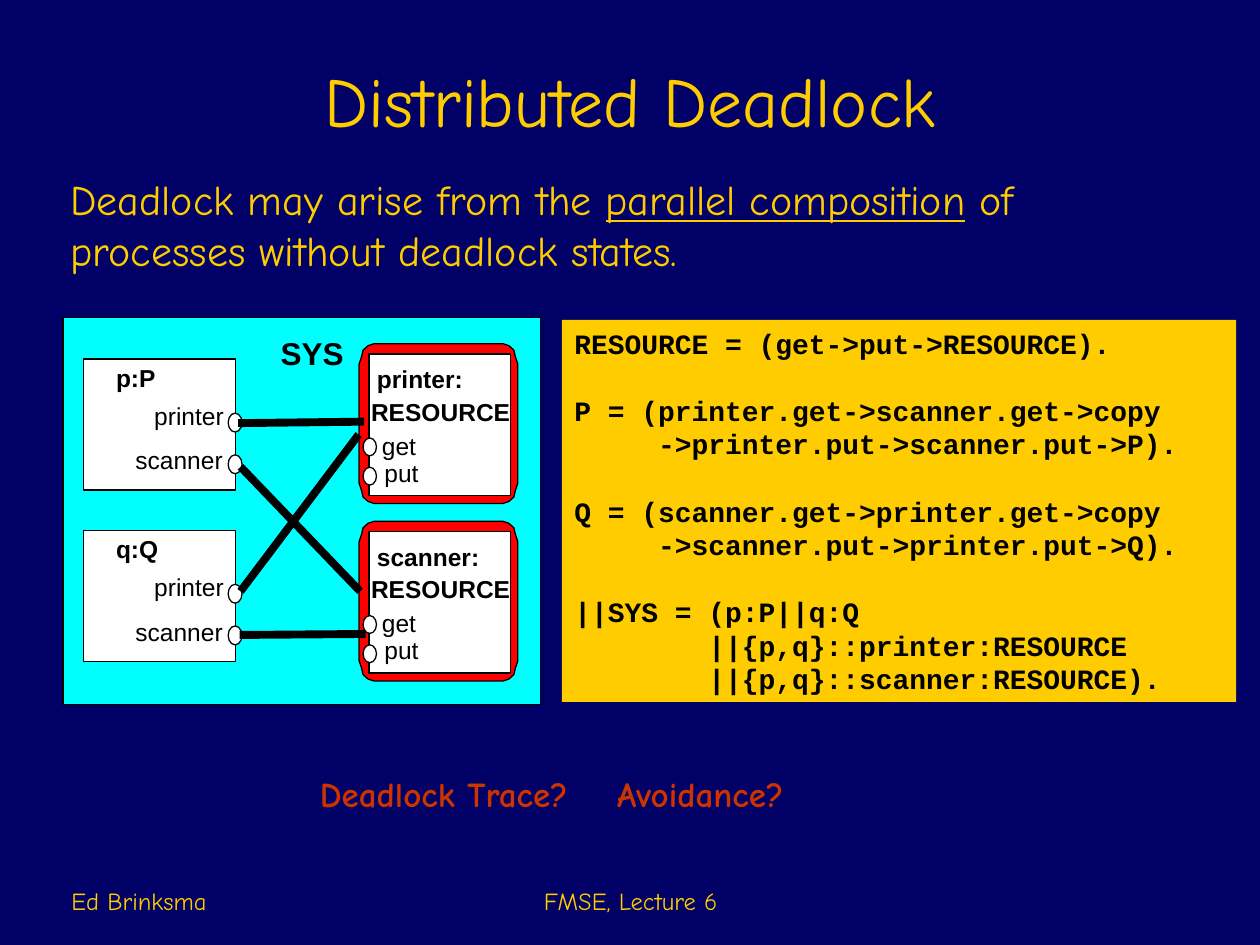
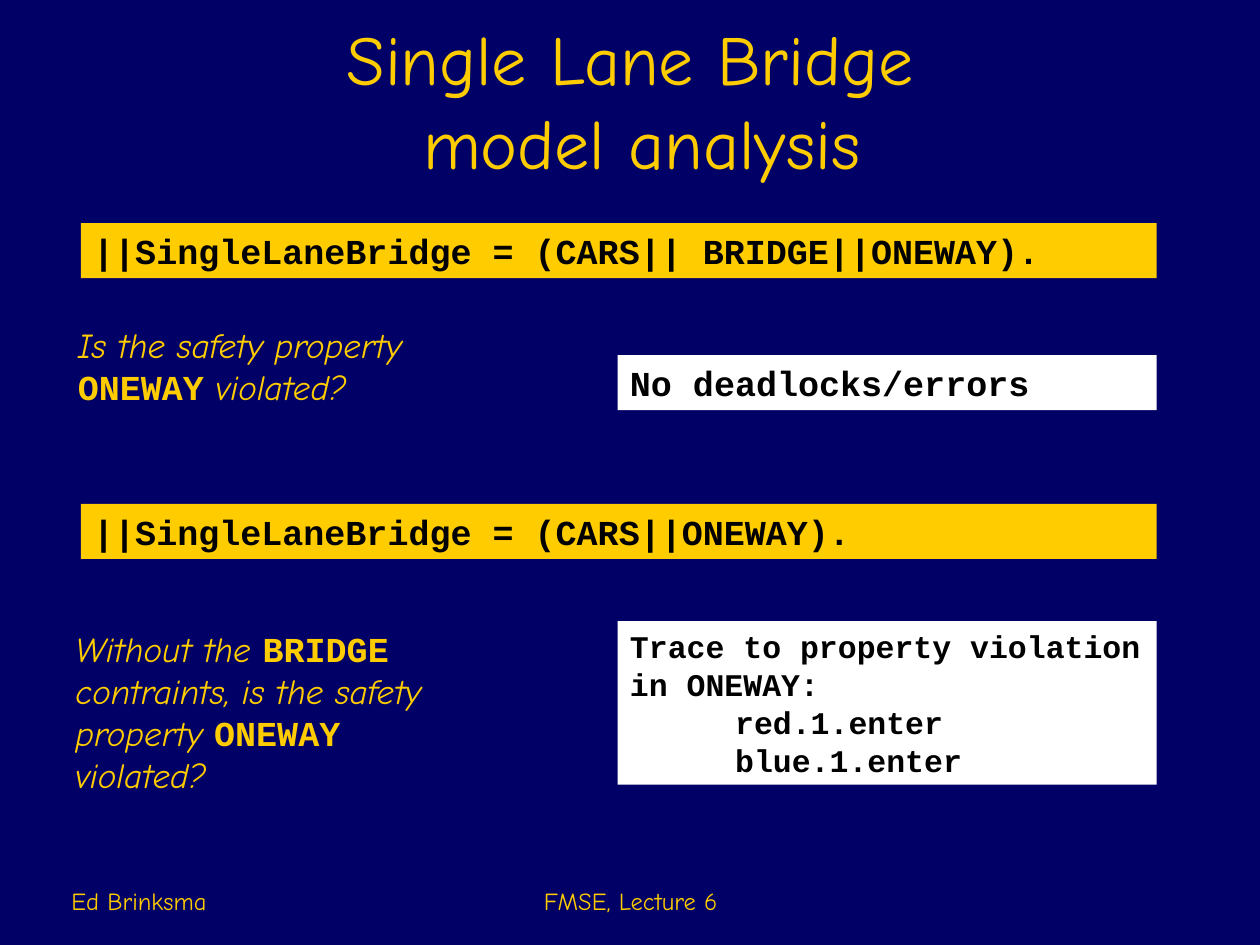
from lxml import etree
from pptx import Presentation
from pptx.dml.color import RGBColor
from pptx.enum.shapes import MSO_CONNECTOR, MSO_SHAPE
from pptx.enum.text import MSO_ANCHOR, MSO_AUTO_SIZE, PP_ALIGN
from pptx.oxml.ns import qn
from pptx.util import Cm, Pt

RECT, OVAL = MSO_SHAPE.RECTANGLE, MSO_SHAPE.OVAL
LINE = MSO_CONNECTOR.STRAIGHT
LEFT, MID = PP_ALIGN.LEFT, PP_ALIGN.CENTER
TOP, LOW = MSO_ANCHOR.TOP, MSO_ANCHOR.BOTTOM
NAVY, GOLD, RUST = "000066", "FFCC00", "CC3300"
BLACK, WHITE, CYAN, RED = "000000", "FFFFFF", "00FFFF", "FF0000"

# Font, bold, italic, underline
FACES = {
    "plain": ("Comic Neue", False, False, False),
    "bold": ("Comic Neue", True, False, False),
    "slant": ("Comic Neue", False, True, False),
    "under": ("Comic Neue", False, False, True),
    "code": ("Courier New", True, False, False),
    "label": ("Arial", False, False, False),
    "mark": ("Arial", True, False, False),
}
CODE = [
    ["RESOURCE = (get->put->RESOURCE)."],
    ["P = (printer.get->scanner.get->copy",
     "     ->printer.put->scanner.put->P)."],
    ["Q = (scanner.get->printer.get->copy",
     "     ->scanner.put->printer.put->Q)."],
    ["||SYS = (p:P||q:Q",
     "        ||{p,q}::printer:RESOURCE",
     "        ||{p,q}::scanner:RESOURCE)."],
]


def color(code):
    return RGBColor.from_string(code)


def place(box):
    return [Cm(v) for v in box]


# Text
def style(run, face, size, hue):
    font = run.font
    font.name, font.bold, font.italic, font.underline = FACES[face]
    font.size = Pt(size)
    font.color.rgb = color(hue)


def write(para, text, face, size, hue):
    para.text = text
    for run in para.runs:
        style(run, face, size, hue)


def note(shapes, box, parts, size, hue=GOLD, align=LEFT, anchor=TOP):
    frame = shapes.add_textbox(*place(box)).text_frame
    frame.word_wrap = True
    frame.vertical_anchor = anchor
    para = frame.paragraphs[0]
    para.alignment = align
    for text, face in parts:
        run = para.add_run()
        run.text = text
        style(run, face, size, hue)
    return para


def label(shapes, x, y, text, face="label", size=14):
    frame = shapes.add_textbox(*place((x, y, 3, 0.58))).text_frame
    frame.word_wrap = False
    frame.margin_left = frame.margin_right = 0
    frame.margin_top = frame.margin_bottom = 0
    frame.paragraphs[0].alignment = LEFT
    write(frame.paragraphs[0], text, face, size, BLACK)


# Shapes
def paint(shape, fill, edge=True):
    shape.shadow.inherit = False
    shape.fill.solid()
    shape.fill.fore_color.rgb = color(fill)
    if edge:
        shape.line.color.rgb = color(BLACK)
        shape.line.width = Pt(0.75)
    else:
        shape.line.fill.background()


def block(shapes, kind, box, fill):
    paint(shapes.add_shape(kind, *place(box)), fill)


def slab(shapes, box, fill, lines, size):
    shape = shapes.add_shape(RECT, *place(box))
    paint(shape, fill, edge=False)
    frame = shape.text_frame
    frame.word_wrap = True
    frame.vertical_anchor = TOP
    for i, text in enumerate(lines):
        para = frame.paragraphs[0] if i == 0 else frame.add_paragraph()
        para.alignment = LEFT
        write(para, text, "code", size, BLACK)
    return frame.paragraphs


def link(shapes, x, y, ends):
    x1, y1, x2, y2 = ends
    line = shapes.add_connector(
        LINE, *place((x + x1, y + y1, x + x2, y + y2)))
    line.line.color.rgb = color(BLACK)
    line.line.width = Pt(4.5)
    etree.SubElement(line._element.spPr, qn("a:effectLst"))


def rim(shapes, x, y, w, h):
    corner = [(0, 0.41), (0.05, 0.26), (0.08, 0.13), (0.18, 0.04), (0.3, 0)]
    top = corner + [(w - a, b) for a, b in reversed(corner)]
    ring = top + [(a, h - b) for a, b in reversed(top)]
    spots = [(Cm(x + a), Cm(y + b)) for a, b in ring]
    path = shapes.build_freeform(*spots[0])
    path.add_line_segments(spots[1:], close=True)
    paint(path.convert_to_shape(), RED)


# System diagram
def client(shapes, x, y, name):
    block(shapes, RECT, (x, y, 3.07, 2.64), WHITE)
    label(shapes, x + 0.66, y + 0.07, name, "mark")
    label(shapes, x + 1.43, y + 0.84, "printer")
    label(shapes, x + 1.05, y + 1.74, "scanner")
    for drop in (1.09, 1.93):
        block(shapes, OVAL, (x + 2.92, y + drop, 0.28, 0.38), WHITE)


def device(shapes, x, y, name):
    rim(shapes, x, y, 3.2, 3.22)
    block(shapes, RECT, (x + 0.2, y + 0.21, 2.85, 2.85), WHITE)
    label(shapes, x + 0.36, y + 0.41, name, "mark")
    label(shapes, x + 0.24, y + 1.07, "RESOURCE", "mark")
    label(shapes, x + 0.46, y + 1.75, "get")
    label(shapes, x + 0.51, y + 2.3, "put")
    for drop in (1.9, 2.49):
        block(shapes, OVAL, (x + 0.08, y + drop, 0.27, 0.36), WHITE)


def system(slide, box):
    shapes = slide.shapes.add_group_shape().shapes
    x, y = box[:2]
    block(shapes, RECT, box, CYAN)
    label(shapes, x + 4.39, y + 0.33, "SYS", "mark", 18)
    for drop, name in ((0.53, "printer:"), (4.11, "scanner:")):
        device(shapes, x + 5.97, y + drop, name)
    for drop, name in ((0.84, "p:P"), (4.29, "q:Q")):
        client(shapes, x + 0.41, y + drop, name)
    for ends in ((3.53, 2.13, 6.07, 2.1), (3.58, 3.01, 5.99, 5.52),
                 (3.58, 5.52, 5.96, 2.36), (3.56, 6.4, 6.1, 6.38)):
        link(shapes, x, y, ends)


def listing(slide, box):
    lines = [text for group in CODE for text in group]
    heads = [group[0] for group in CODE[1:]]
    for para in slab(slide.shapes, box, GOLD, lines, 16):
        if para.text in heads:
            para.space_before = Pt(19.2)


# Shared title and footers
def start(deck, title, top):
    slide = deck.slides.add_slide(deck.slide_layouts[5])
    head = slide.shapes.title
    head.left, head.top, head.width, head.height = place(
        (1.9, top, 21.6, 3.18))
    frame = head.text_frame
    frame.auto_size = MSO_AUTO_SIZE.NONE
    frame.vertical_anchor = LOW
    frame.paragraphs[0].alignment = MID
    write(frame.paragraphs[0], title, "plain", 40, GOLD)
    for x, w, text, align in ((8.69, 8.05, "FMSE, Lecture 6", MID),
                              (1.19, 5.28, "Ed Brinksma", LEFT)):
        note(slide.shapes, (x, 17.3, w, 1.27), [(text, "plain")], 14,
             align=align, anchor=LOW)
    return slide


def deadlock(deck):
    slide = start(deck, "Distributed Deadlock", -0.2)
    note(slide.shapes, (1.17, 3.38, 21.29, 2.29),
         [("Deadlock may arise from the ", "plain"),
          ("parallel composition", "under"),
          (" of processes without deadlock states.", "plain")], 24)
    listing(slide, (11.33, 6.45, 13.59, 7.7))
    system(slide, (1.27, 6.4, 9.63, 7.8))
    ask = note(slide.shapes, (6.2, 15.44, 12.37, 1.12),
               [("Deadlock Trace?\tAvoidance?", "bold")], 20, RUST)
    tabs = etree.SubElement(ask._p.get_or_add_pPr(), qn("a:tabLst"))
    etree.SubElement(tabs, qn("a:tab"), pos=str(Cm(5.99)), algn="l")


def bridge(deck):
    slide = start(deck, "Single Lane Bridge\v model analysis", 0.64)
    shapes = slide.shapes
    for y, text in ((4.5, "||SingleLaneBridge = (CARS|| BRIDGE||ONEWAY)."),
                    (10.16, "||SingleLaneBridge = (CARS||ONEWAY).")):
        slab(shapes, (1.63, y, 21.69, 1.11), GOLD, [text], 20)
    # Questions
    note(shapes, (1.32, 6.4, 8.41, 1.96),
         [("Is the safety property ", "slant"), ("ONEWAY", "code"),
          (" violated?", "slant")], 20)
    note(shapes, (1.27, 12.52, 8.41, 3.66),
         [("Without the ", "slant"), ("BRIDGE", "code"),
          (" contraints, is the safety property ", "slant"),
          ("ONEWAY", "code"), (" violated?", "slant")], 20)
    # Answers
    slab(shapes, (12.45, 7.16, 10.87, 1.11), WHITE,
         ["No deadlocks/errors"], 20)
    trace = slab(shapes, (12.45, 12.52, 10.87, 3.3), WHITE,
                 ["Trace to property violation in ONEWAY:",
                  "red.1.enter", "blue.1.enter"], 18)
    for para in trace[1:]:
        para._p.get_or_add_pPr().set("marL", str(Cm(2.12)))


def main():
    deck = Presentation()
    deck.slide_width, deck.slide_height = Cm(25.4), Cm(19.05)
    back = deck.slide_master.background.fill
    back.solid()
    back.fore_color.rgb = color(NAVY)
    deadlock(deck)
    bridge(deck)
    deck.save("out.pptx")


if __name__ == "__main__":
    main()
